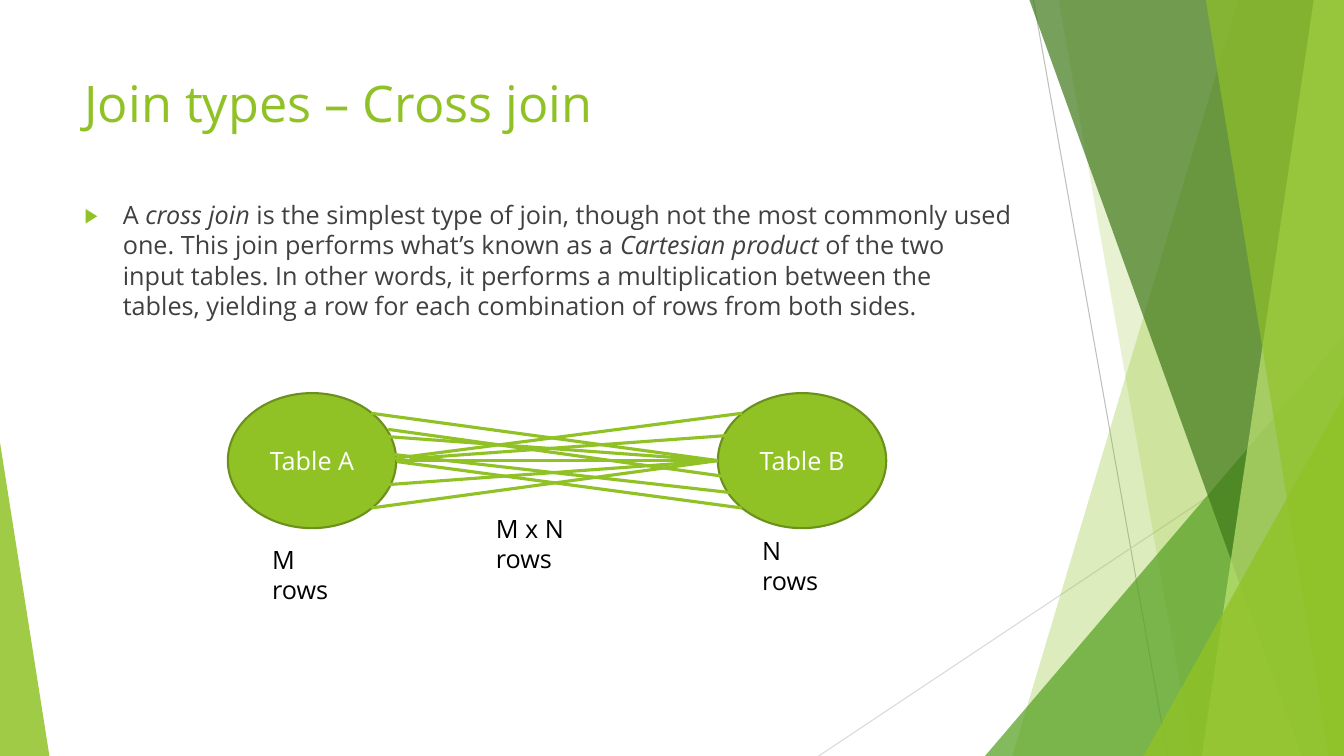
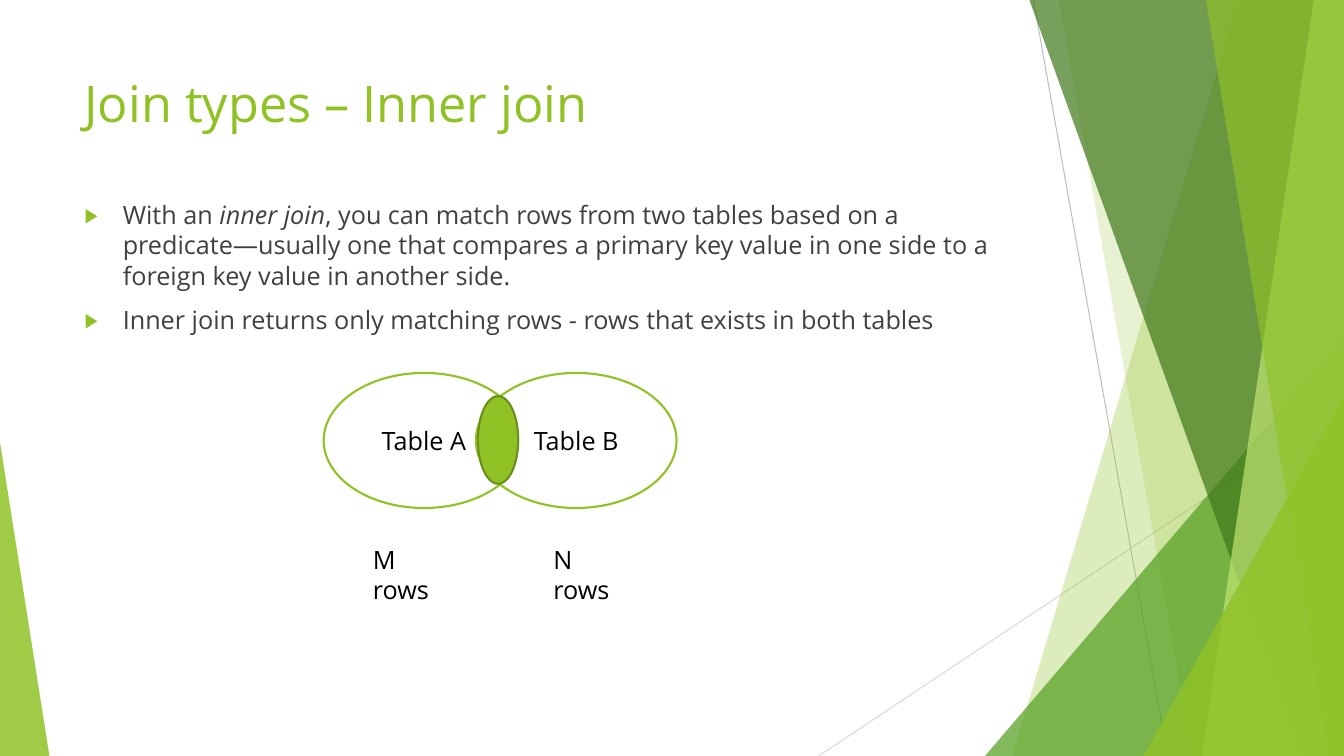
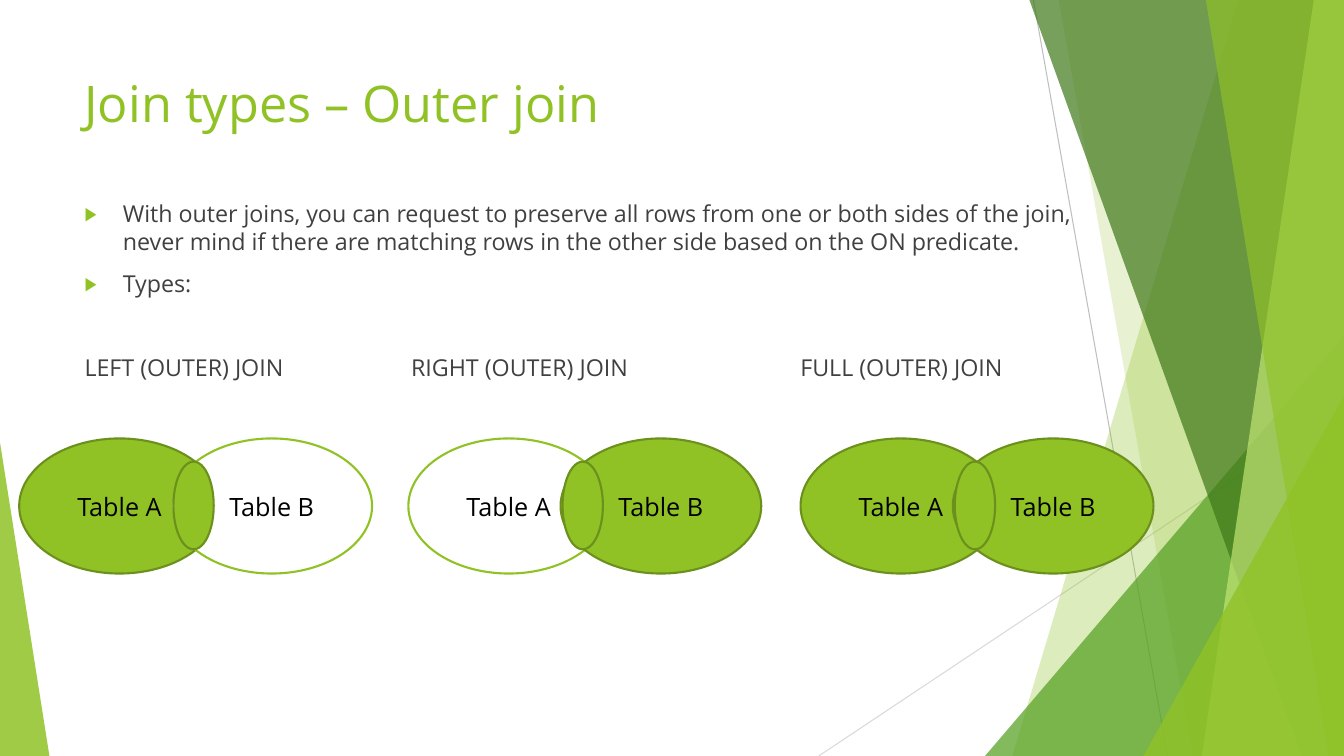
import lxml.etree
import pptx
import pptx.dml.color
import pptx.enum.shapes
import pptx.enum.text
import pptx.oxml.ns
import pptx.util

WIDTH, HEIGHT = 13.33, 7.5
FONT = "Open Sans"
GREEN, DARK_GREEN, WHITE, BLACK, GREY = "90C226", "6B901C", "FFFFFF", "000000", "404040"
MARGIN = 0.74
TITLE_AREA = (MARGIN, 0.67, 9.4, 1.2)
BODY_TOP = 1.93
MIDDLE = pptx.enum.text.MSO_ANCHOR.MIDDLE
CENTER = pptx.enum.text.PP_ALIGN.CENTER

RAYS = [
    ((10.25, 0), (11.58, HEIGHT), "BFBFBF"),
    ((WIDTH, 4.03), (8.12, HEIGHT), "D9D9D9"),
]
FACETS = [
    ("band", 12.28, 10.04, GREEN, 30),
    ("band", 10.5, 11.83, GREEN, 20),
    ("corner", 9.77, 3.33, "54A021", 72),
    ("band", 10.21, 12.91, "3F7819", 70),
    ("band", 13.03, 11.92, "C0E474", 70),
    ("band", 11.96, 13.18, GREEN, 65),
    ("corner", 11.34, 3.93, GREEN, 80),
]
LEFT_WEDGE = (0, 4.39, 0.49, HEIGHT - 4.39)

TABLE_SIZE = (1.67, 1.34)
SET_SIZE = (1.99, 1.34)
LENS_SIZE = (0.4, 0.87)
SET_STEP = 1.51
LENS_OFFSET = (1.53, 0.23)
ROWS_SIZE = (0.98, 0.7)
TYPE_TOP, TYPE_WIDTH = 3.46, 3
OUTER_SIZE = 16.6

A_EDGE, B_EDGE = (3.93, 4.57), (7.12, 4.57)
ROW_PAIRS = [(start, B_EDGE) for start in
             [A_EDGE, (3.68, 5.04), (3.82, 4.81), (3.68, 4.1), (3.82, 4.33)]] + [
    ((3.82, 4.56), (7.36, 4.1)),
    ((4.06, 4.55), (7.36, 4.31)),
    ((3.94, 4.58), (7.36, 5.04)),
    ((3.85, 4.26), (7.28, 4.74)),
    ((3.91, 4.51), (7.36, 4.9)),
]

JOINS = [
    {
        "title": "Join types – Cross join",
        "points": [
            "A *cross join *is the simplest type of join, though not the most commonly used one. "
            "This join performs what’s known as a *Cartesian product *of the two input tables. "
            "In other words, it performs a multiplication between the tables, yielding a row "
            "for each combination of rows from both sides.",
        ],
        "tables": [("Table A", 2.26, 3.9), ("Table B", 7.12, 3.9)],
        "row_pairs": ROW_PAIRS,
        "row_counts": [("M rows", 2.6, 5.35), ("N rows", 7.46, 5.26), ("M x N rows", 4.82, 5.04)],
    },
    {
        "title": "Join types – Inner join",
        "points": [
            "With an *inner join*, you can match rows from two tables based on a predicate—usually "
            "one that compares a primary key value in one side to a foreign key value in another side.",
            "Inner join returns only matching rows - rows that exists in both tables",
        ],
        "venns": [(3.21, 3.7, "")],
        "row_counts": [("M rows", 3.6, 5.35), ("N rows", 5.39, 5.35)],
    },
    {
        "title": "Join types – Outer join",
        "points": [
            "With outer joins, you can request to preserve all rows from one or both sides of the "
            "join, never mind if there are matching rows in the other side based on the ON predicate.",
            "Types:",
        ],
        "size": OUTER_SIZE,
        "body_width": 10.32,
        "types": [("LEFT (OUTER) JOIN", MARGIN), ("RIGHT (OUTER) JOIN", 3.98),
                  ("FULL (OUTER) JOIN", 7.84)],
        "venns": [(0.19, 4.35, "A"), (4.05, 4.35, "B"), (7.94, 4.35, "AB")],
    },
]


def color(value):
    return pptx.dml.color.RGBColor.from_string(value)


def inches(*lengths):
    return [pptx.util.Inches(length) for length in lengths]


def set_formats(target, formats):
    for key, value in formats.items():
        setattr(target, key, value)


def add_element(parent, tag, **attributes):
    return lxml.etree.SubElement(parent, pptx.oxml.ns.qn(tag), attributes)


def write(paragraph, text, size, ink):
    for position, part in enumerate(text.split("*")):
        run = paragraph.add_run()
        run.text = part
        set_formats(run.font, {"name": FONT, "size": pptx.util.Pt(size),
                               "italic": position % 2 == 1})
        run.font.color.rgb = color(ink)


def add_text(slide, area, texts, size=18, ink=BLACK, bulleted=False):
    frame = slide.shapes.add_textbox(*inches(*area)).text_frame
    frame.word_wrap = True
    for position, text in enumerate(texts):
        paragraph = frame.add_paragraph() if position else frame.paragraphs[0]
        write(paragraph, text, size, ink)
        if bulleted:
            paragraph.space_before = pptx.util.Pt(10)
            properties = paragraph._p.get_or_add_pPr()
            indent = pptx.util.Inches(0.38)
            properties.set("marL", str(indent))
            properties.set("indent", str(-indent))
            add_element(add_element(properties, "a:buClr"), "a:srgbClr", val=GREEN)
            add_element(properties, "a:buSzPct", val="80000")
            add_element(properties, "a:buFont", typeface=FONT)
            add_element(properties, "a:buChar", char="▶")


def add_line(slide, start, end, ink, weight):
    line = slide.shapes.add_connector(pptx.enum.shapes.MSO_CONNECTOR.STRAIGHT,
                                      *inches(*start, *end))
    line.line.color.rgb = color(ink)
    line.line.width = pptx.util.Pt(weight)
    add_element(line.element.spPr, "a:effectLst")


def add_ellipse(slide, corner, size, filled=True, label="", ink=BLACK):
    ellipse = slide.shapes.add_shape(pptx.enum.shapes.MSO_SHAPE.OVAL, *inches(*corner, *size))
    ellipse.shadow.inherit = False
    ellipse.fill.solid()
    ellipse.fill.fore_color.rgb = color(GREEN if filled else WHITE)
    ellipse.line.color.rgb = color(DARK_GREEN if filled else GREEN)
    ellipse.line.width = pptx.util.Pt(1.5)
    if label:
        set_formats(ellipse.text_frame, {"vertical_anchor": MIDDLE, "word_wrap": True})
        paragraph = ellipse.text_frame.paragraphs[0]
        paragraph.alignment = CENTER
        write(paragraph, label, 18, ink)


def add_venn(slide, left, top, kept):
    for position, side in enumerate("AB"):
        add_ellipse(slide, (left + position * SET_STEP, top), SET_SIZE, side in kept, f"Table {side}")
    add_ellipse(slide, (left + LENS_OFFSET[0], top + LENS_OFFSET[1]), LENS_SIZE)


def tint(facet, ink, opacity):
    facet.shadow.inherit = False
    facet.fill.solid()
    facet.fill.fore_color.rgb = color(ink)
    facet.line.fill.background()
    shade = facet.element.spPr.find(".//" + pptx.oxml.ns.qn("a:srgbClr"))
    add_element(shade, "a:alpha", val=str(opacity * 1000))


def add_triangle(slide, area, apex, ink, opacity):
    triangle = slide.shapes.add_shape(pptx.enum.shapes.MSO_SHAPE.ISOSCELES_TRIANGLE, *inches(*area))
    triangle.adjustments[0] = apex
    tint(triangle, ink, opacity)


def add_band(slide, top_x, bottom_x, ink, opacity):
    outline = slide.shapes.build_freeform(*inches(top_x, 0))
    outline.add_line_segments([inches(*point) for point in
                               [(WIDTH, 0), (WIDTH, HEIGHT), (bottom_x, HEIGHT)]])
    tint(outline.convert_to_shape(), ink, opacity)


def decorate(layout, slide):
    for placeholder in list(layout.placeholders):
        layout.shapes.element.remove(placeholder.element)
    for start, end, ink in RAYS:
        add_line(slide, start, end, ink, 0.75)
    for kind, first, second, ink, opacity in FACETS:
        if kind == "band":
            add_band(slide, first, second, ink, opacity)
        else:
            add_triangle(slide, (first, second, WIDTH - first, HEIGHT - second), 1, ink, opacity)
    add_triangle(slide, LEFT_WEDGE, 0, GREEN, 85)
    for facet in list(slide.shapes):
        layout.shapes.element.append(facet.element)


def fill_slide(slide, join):
    size = join.get("size", 18)
    add_text(slide, TITLE_AREA, [join["title"]], 36, GREEN)
    add_text(slide, (MARGIN, BODY_TOP, join.get("body_width", 9.4), 1.5),
             join["points"], size, GREY, bulleted=True)
    for label, left in join.get("types", []):
        add_text(slide, (left, TYPE_TOP, TYPE_WIDTH, 0.4), [label], size, GREY)
    for label, left, top in join.get("tables", []):
        add_ellipse(slide, (left, top), TABLE_SIZE, label=label, ink=WHITE)
    for start, end in join.get("row_pairs", []):
        add_line(slide, start, end, GREEN, 2.25)
    for left, top, kept in join.get("venns", []):
        add_venn(slide, left, top, kept)
    for label, left, top in join.get("row_counts", []):
        add_text(slide, (left, top, *ROWS_SIZE), [label])


def main():
    deck = pptx.Presentation()
    set_formats(deck, {"slide_width": pptx.util.Inches(WIDTH),
                       "slide_height": pptx.util.Inches(HEIGHT)})
    blank = deck.slide_layouts[6]
    slides = [deck.slides.add_slide(blank) for _ in JOINS]
    decorate(blank, slides[0])
    for slide, join in zip(slides, JOINS):
        fill_slide(slide, join)
    deck.save("out.pptx")


if __name__ == "__main__":
    main()
